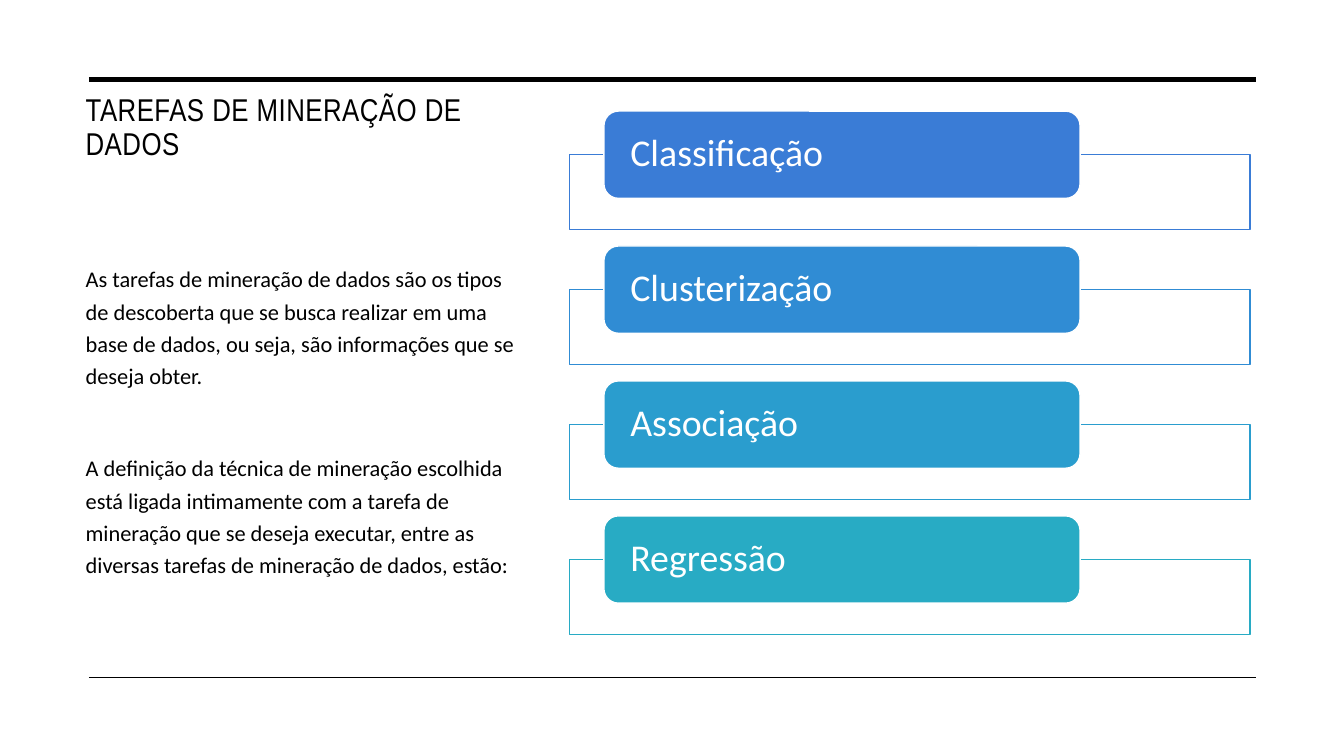
"""Slide on data mining tasks: explanation on the left, four task cards on the right."""
from dataclasses import dataclass

from lxml.etree import SubElement
from pptx import Presentation
from pptx.dml.color import RGBColor
from pptx.enum.shapes import MSO_CONNECTOR, MSO_SHAPE
from pptx.enum.text import MSO_ANCHOR, PP_ALIGN
from pptx.oxml.ns import qn
from pptx.util import Cm, Pt


@dataclass(frozen=True)
class Theme:
    ink: RGBColor = RGBColor.from_string("000000")
    paper: RGBColor = RGBColor.from_string("FFFFFF")
    tasks: tuple = ("3A7CD6", "308CD4", "2A9DCE", "28ABC4")
    title_font: str = "Arial Narrow"
    body_font: str = "Calibri"
    title_size: float = 22.5
    body_size: float = 16
    task_size: float = 27


theme = Theme()


def add_text(paragraph, text, font, size, color):
    run = paragraph.add_run()
    run.text = text
    run.font.name = font
    run.font.size = Pt(size)
    run.font.color.rgb = color
    return run


def add_panel(kind, left, top, width, height, fill, line):
    panel = slide.shapes.add_shape(kind, Cm(left), Cm(top), Cm(width), Cm(height))
    panel.shadow.inherit = False
    panel.fill.solid()
    panel.fill.fore_color.rgb = fill
    panel.line.color.rgb = line
    panel.line.width = Pt(1)
    return panel


deck = Presentation()
deck.slide_width, deck.slide_height = Cm(33.87), Cm(19.05)
slide = deck.slides.add_slide(deck.slide_layouts[6])

for rule_top, weight in ((2.01, 3.5), (17.07, 1)):
    rule = slide.shapes.add_connector(
        MSO_CONNECTOR.STRAIGHT, Cm(2.24), Cm(rule_top), Cm(31.65), Cm(rule_top))
    rule.line.color.rgb = theme.ink
    rule.line.width = Pt(weight)
    SubElement(rule._element.spPr, qn("a:effectLst"))

title = slide.shapes.add_textbox(Cm(1.91), Cm(2.24), Cm(11.38), Cm(2.2)).text_frame
title.word_wrap = True
title.paragraphs[0].line_spacing = 0.9
heading = add_text(title.paragraphs[0], "TAREFAS DE MINERAÇÃO DE DADOS",
                   theme.title_font, theme.title_size, theme.ink)
heading.font._element.set("spc", "30")

explanations = (
    "As tarefas de mineração de dados são os tipos de descoberta que se busca "
    "realizar em uma base de dados, ou seja, são informações que se deseja obter.",
    "A definição da técnica de mineração escolhida está ligada intimamente com a "
    "tarefa de mineração que se deseja executar, entre as diversas tarefas de "
    "mineração de dados, estão:",
)
body = slide.shapes.add_textbox(Cm(1.91), Cm(6.43), Cm(11.38), Cm(9.88)).text_frame
body.word_wrap = True
for index, explanation in enumerate(explanations):
    paragraph = body.add_paragraph() if index else body.paragraphs[0]
    paragraph.line_spacing = 1.2
    if index:
        paragraph.space_before = Pt(43)
    add_text(paragraph, explanation, theme.body_font, theme.body_size, theme.ink)

tasks = ("Classificação", "Clusterização", "Associação", "Regressão")
for index, (task, code) in enumerate(zip(tasks, theme.tasks)):
    color = RGBColor.from_string(code)
    top = 2.8 + index * 3.4
    add_panel(MSO_SHAPE.RECTANGLE, 14.35, top + 1.1, 17.15, 1.89, theme.paper, color)
    card = add_panel(MSO_SHAPE.ROUNDED_RECTANGLE, 15.22, top, 12, 2.2, color, theme.paper)
    label = card.text_frame
    label.margin_left = label.margin_right = Cm(0.56)
    label.margin_top = label.margin_bottom = 0
    label.vertical_anchor = MSO_ANCHOR.MIDDLE
    label.paragraphs[0].alignment = PP_ALIGN.LEFT
    label.paragraphs[0].line_spacing = 0.9
    add_text(label.paragraphs[0], task, theme.body_font, theme.task_size, theme.paper)

deck.save("out.pptx")
